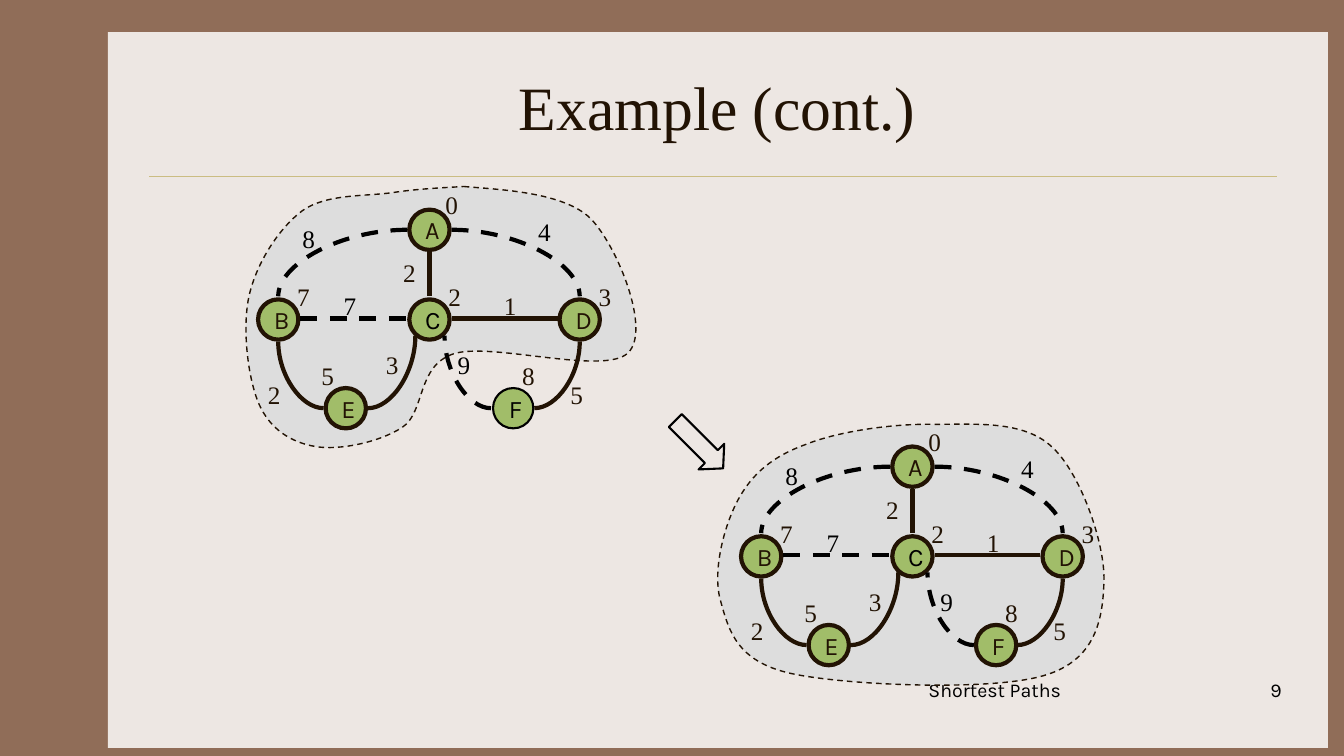
import pptx
import pptx.util
from lxml import etree
from pptx.dml.color import RGBColor
from pptx.enum.dml import MSO_LINE
from pptx.enum.shapes import MSO_CONNECTOR, MSO_SHAPE
from pptx.enum.text import MSO_ANCHOR, MSO_AUTO_SIZE, PP_ALIGN
from pptx.oxml.ns import qn

Inches, Pt = pptx.util.Inches, pptx.util.Pt
COLORS = {"frame": "906D58", "page": "EDE7E3", "rule": "CBBD83", "dark": "221304",
          "black": "000000", "cloud": "DDDDDD", "node": "A1BD69"}
SERIF, SANS = "Times New Roman", "Karla"
rgb = {name: RGBColor.from_string(value) for name, value in COLORS.items()}

prs = pptx.Presentation()
prs.slide_width, prs.slide_height = Inches(13.33), Inches(7.5)
s = prs.slides.add_slide(prs.slide_layouts[6])
s.background.fill.solid()
s.background.fill.fore_color.rgb = rgb["frame"]


def add_text(sp, text, size, font, color, align=PP_ALIGN.LEFT, anchor=MSO_ANCHOR.TOP, wrap=True):
    tf = sp.text_frame
    tf.word_wrap, tf.vertical_anchor = wrap, anchor
    p = tf.paragraphs[0]
    p.alignment = align
    r = p.add_run()
    r.text = text
    r.font.size, r.font.name = Pt(size), font
    r.font.color.rgb = rgb[color]


def add_line(x1, y1, x2, y2, color, width, dashed=False, curved=False):
    """Draw a line; a curved one leaves horizontally and arrives vertically."""
    kind = MSO_CONNECTOR.CURVE if curved else MSO_CONNECTOR.STRAIGHT
    c = s.shapes.add_connector(kind, Inches(x1), Inches(y1), Inches(x2), Inches(y2))
    c.line.color.rgb, c.line.width = rgb[color], Pt(width)
    if dashed:
        c.line.dash_style = MSO_LINE.DASH
    sp_pr = c._element.spPr
    if curved:
        sp_pr.find(qn("a:prstGeom")).set("prst", "curvedConnector2")
    etree.SubElement(sp_pr, qn("a:effectLst"))


page = s.shapes.add_shape(MSO_SHAPE.RECTANGLE, Inches(1.07), Inches(0.32), Inches(12.1), Inches(7.1))
page.shadow.inherit = False
page.fill.solid()
page.fill.fore_color.rgb = rgb["page"]
page.line.fill.background()
add_line(1.48, 1.75, 12.67, 1.75, "rule", 0.25)

title = s.shapes.add_textbox(Inches(1.56), Inches(0.42), Inches(11.11), Inches(1.25))
add_text(title, "Example (cont.)", 44, SERIF, "dark", PP_ALIGN.CENTER, MSO_ANCHOR.MIDDLE)
number = s.shapes.add_textbox(Inches(10.03), Inches(6.68), Inches(2.78), Inches(0.5))
add_text(number, "9", 14, SANS, "black", PP_ALIGN.RIGHT)
footer = s.shapes.add_textbox(Inches(9.11), Inches(6.68), Inches(4.22), Inches(0.5))
add_text(footer, "Shortest Paths", 14, SANS, "black")

# Graph layout, placed for the first graph: top left corners of the nodes
NODE = 0.4
nodes = {"A": (4.06, 2.08), "B": (2.56, 2.97), "C": (4.06, 2.97),
         "D": (5.55, 2.97), "E": (3.23, 3.85), "F": (4.89, 3.85)}
# from x, from y, to x, to y, dashed, curved
edges = [
    (4.04, 2.28, 2.76, 2.94, True, True),
    (4.48, 2.28, 5.75, 2.94, True, True),
    (3.21, 4.05, 2.76, 3.39, False, True),
    (3.65, 4.05, 4.12, 3.33, False, True),
    (5.30, 4.05, 5.75, 3.39, False, True),
    (4.87, 4.05, 4.41, 3.33, True, True),
    (4.26, 2.50, 4.26, 2.94, False, False),
    (2.98, 3.16, 4.04, 3.16, True, False),
    (4.48, 3.16, 5.53, 3.16, False, False),
]
distances = [("0", 4.32, 1.83), ("3", 5.84, 2.74), ("2", 4.35, 2.74),
             ("7", 2.85, 2.74), ("5", 3.09, 3.53), ("8", 5.08, 3.53)]
tree_weights = [("1", 4.9, 2.83), ("2", 2.56, 3.71), ("5", 5.56, 3.71),
                ("2", 3.9, 2.5), ("3", 3.73, 3.42)]
other_weights = [("4", 5.24, 2.1), ("8", 2.9, 2.17), ("7", 3.31, 2.83), ("9", 4.44, 3.42)]
labels = [(*d, "dark") for d in distances + tree_weights] + [(*w, "black") for w in other_weights]

# Cloud outlines: a start point, then three Bezier points per segment
cloud_without_f = [
    (4.6, 1.85),
    (4.93, 1.88), (5.59, 1.9), (5.86, 2.17), (6.13, 2.45), (6.46, 3.28), (6.23, 3.5),
    (6, 3.73), (4.87, 3.39), (4.5, 3.51), (4.13, 3.63), (4.22, 4.09), (3.99, 4.24),
    (3.76, 4.39), (3.36, 4.47), (3.13, 4.43), (2.89, 4.39), (2.68, 4.26), (2.57, 4.01),
    (2.46, 3.76), (2.4, 3.26), (2.47, 2.94), (2.54, 2.62), (2.76, 2.27), (3, 2.09),
    (3.24, 1.92), (3.63, 1.95), (3.9, 1.91), (4.16, 1.87), (4.46, 1.86), (4.6, 1.85)]
cloud_with_all = [
    (9.27, 4.21),
    (9.68, 4.21), (10.15, 4.17), (10.43, 4.43), (10.71, 4.68), (10.96, 5.38), (10.95, 5.76),
    (10.94, 6.14), (10.87, 6.55), (10.36, 6.7), (9.84, 6.86), (8.38, 6.8), (7.84, 6.68),
    (7.31, 6.56), (7.23, 6.26), (7.15, 5.97), (7.06, 5.68), (7.18, 5.22), (7.32, 4.96),
    (7.46, 4.7), (7.66, 4.53), (7.99, 4.41), (8.31, 4.28), (8.86, 4.2), (9.27, 4.21)]

# shift right, shift down, cloud, nodes outside the cloud
graphs = [(0, 0, cloud_without_f, "F"), (4.79, 2.35, cloud_with_all, "")]
for dx, dy, outline, outside in graphs:
    points = [(Inches(x), Inches(y)) for x, y in outline]
    builder = s.shapes.build_freeform(*points[0])
    builder.add_line_segments(points[1:], close=True)
    cloud = builder.convert_to_shape()
    lines = list(cloud._element.iter(qn("a:lnTo")))
    for i in range(0, len(lines), 3):
        curve = etree.Element(qn("a:cubicBezTo"))
        lines[i].addprevious(curve)
        for line in lines[i:i + 3]:
            curve.append(line[0])
            line.getparent().remove(line)
    cloud.shadow.inherit = False
    cloud.fill.solid()
    cloud.fill.fore_color.rgb = rgb["cloud"]
    cloud.line.color.rgb, cloud.line.width = rgb["dark"], Pt(1)
    cloud.line.dash_style = MSO_LINE.DASH

    for name, (x, y) in nodes.items():
        sp = s.shapes.add_shape(MSO_SHAPE.OVAL, Inches(x + dx), Inches(y + dy), Inches(NODE), Inches(NODE))
        sp.shadow.inherit = False
        sp.fill.solid()
        sp.fill.fore_color.rgb = rgb["node"]
        sp.line.color.rgb = rgb["black" if name in outside else "dark"]
        sp.line.width = Pt(1.5 if name in outside else 3)
        color = "black" if name == "C" or name in outside else "dark"
        add_text(sp, name, 18, SANS, color, anchor=MSO_ANCHOR.MIDDLE, wrap=False)

    for x1, y1, x2, y2, dashed, curved in edges:
        add_line(x1 + dx, y1 + dy, x2 + dx, y2 + dy, "black" if dashed else "dark", 3, dashed, curved)

    for text, x, y, color in labels:
        tb = s.shapes.add_textbox(Inches(x + dx), Inches(y + dy), Inches(0.33), Inches(0.4))
        add_text(tb, text, 18, SERIF, color, wrap=False)
        tb.text_frame.auto_size = MSO_AUTO_SIZE.SHAPE_TO_FIT_TEXT

arrow = s.shapes.add_shape(MSO_SHAPE.RIGHT_ARROW, Inches(6.6), Inches(4.23), Inches(0.67), Inches(0.36))
arrow.rotation = 45
arrow.adjustments[0], arrow.adjustments[1] = 0.5, 0.457
arrow.shadow.inherit = False
arrow.fill.background()
arrow.line.color.rgb, arrow.line.width = rgb["black"], Pt(1.5)

prs.save("out.pptx")
